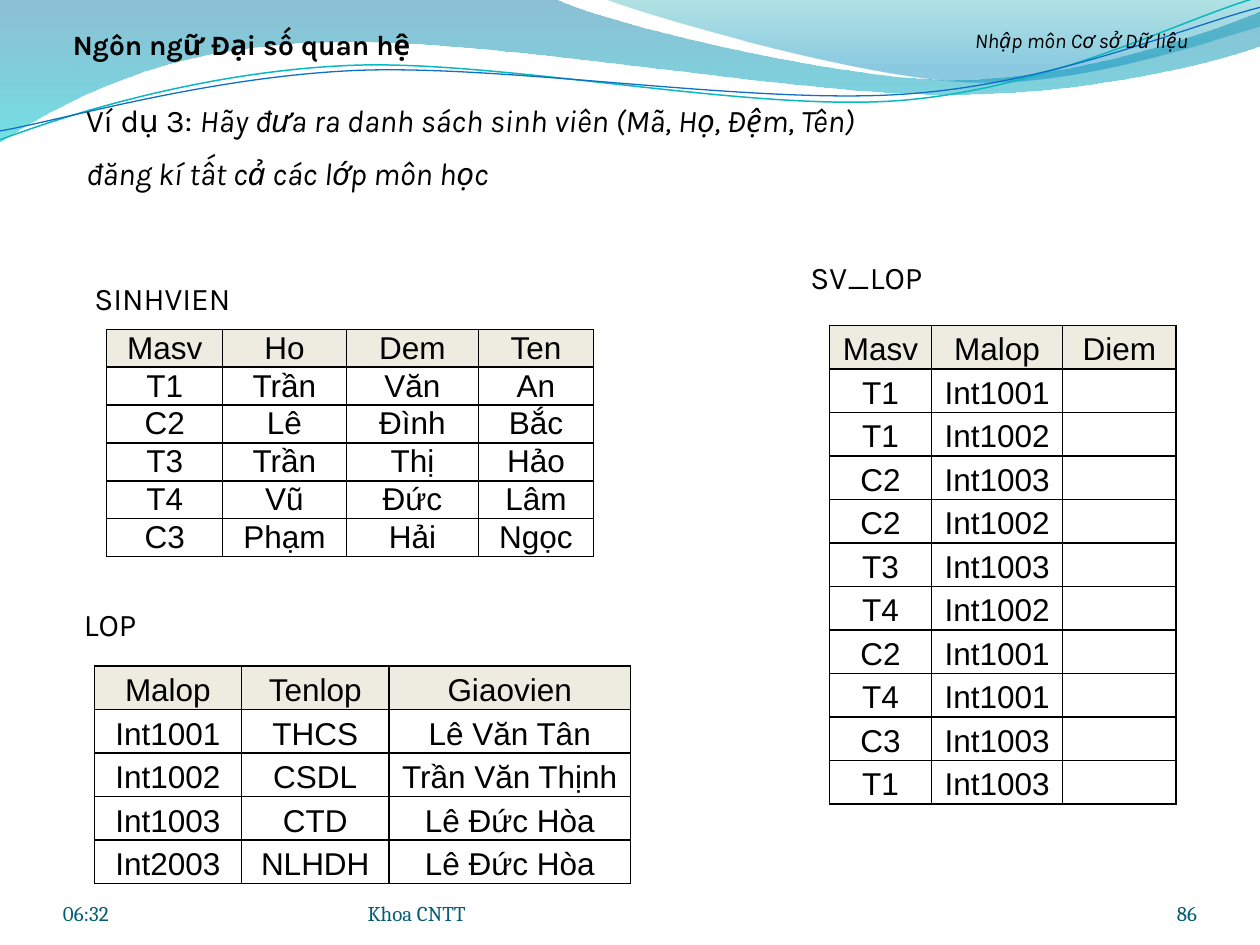
from lxml import etree
from pptx import Presentation
from pptx import util as u
from pptx.dml.color import RGBColor
from pptx.enum import text
from pptx.oxml import ns

BLACK = RGBColor(0x00, 0x00, 0x00)
FOOTER_BLUE = RGBColor(0x04, 0x5D, 0x75)
HEADER_FILL = RGBColor(0xEE, 0xEC, 0xE1)
DEEP_BLUE = RGBColor(0x00, 0x74, 0xA1)
CYAN = RGBColor(0x00, 0xC6, 0xCF)
TEAL = RGBColor(0x00, 0xA1, 0xA9)
SKY_BLUE = RGBColor(0x00, 0x8B, 0xBF)
LINE_TEAL = RGBColor(0x0A, 0xB8, 0xBF)
LINE_BLUE = RGBColor(0x0F, 0x6F, 0xC6)

LEFT, CENTER, RIGHT = text.PP_ALIGN.LEFT, text.PP_ALIGN.CENTER, text.PP_ALIGN.RIGHT

HEADING = "Ngôn ngữ Đại số quan hệ"
EXAMPLE = [
    [("Ví dụ 3: ", False), ("Hãy đưa ra danh sách sinh viên (Mã, Họ, Đệm, Tên)", True)],
    [("đăng kí tất cả các lớp môn học", True)],
]

WAVE_BANDS = [
    ([(0, -0.03), (11.18, -0.03),
      (12.09, 0.43, 16.87, 1.6, 19.25, 1.6), (21.67, 1.6, 24.33, 0.66, 25.4, 0.23),
      (25.43, 0.91),
      (24.97, 1.12, 22.1, 1.93, 18.95, 1.9), (15.8, 1.9, 9.7, 0.71, 6.53, 0.86),
      (3.28, 0.89, 1.17, 2.11, -0.03, 2.87)],
     [(0, DEEP_BLUE, 45), (1, CYAN, 55)]),
    ([(12.17, -0.03),
      (12.93, 0.28, 17.32, 1.57, 19.53, 1.65), (21.74, 1.75, 24.41, 0.81, 25.4, 0.53),
      (25.4, 0)],
     [(0, TEAL, 30), (0.8, SKY_BLUE, 45)]),
]
WAVE_LINES = [
    ([(0, 2.82), (1.22, 2.36, 4.01, 1.45, 7.04, 1.32),
      (10.03, 1.19, 15.06, 2.26, 18.11, 2.03), (21.16, 1.8, 23.83, 0.38, 25.35, -0.05)],
     LINE_TEAL, 0.85),
    ([(0, 2.64), (1.19, 2.44, 4.17, 1.55, 7.19, 1.42),
      (10.24, 1.3, 15.16, 2.11, 18.21, 1.9), (21.23, 1.7, 23.9, 0.53, 25.4, 0.15)],
     LINE_BLUE, 0.75),
]

LABELS = [
    ("Nhập môn Cơ sở Dữ liệu", (18.21, 0.43, 7.19, 0.97), 12, True),
    ("SINHVIEN", (1.47, 5.51, 3.61, 1.02), 18, False),
    ("SV_LOP", (15.66, 5.08, 3.61, 1.02), 18, False),
    ("LOP", (0.85, 12.07, 2.74, 1.02), 18, False),
]
FOOTERS = [
    ("06:32", (1.27, 17.65, 5.92, 1.02), LEFT),
    ("Khoa CNTT", (7.41, 17.65, 9.32, 1.02), LEFT),
    ("86", (22.02, 17.65, 2.11, 1.02), RIGHT),
]
TABLES = [
    {"at": (2.15, 6.64), "columns": (2.34, 2.49, 2.67, 2.31), "row": 0.69,
     "height": 4.57, "spacing": 1.0,
     "rows": [("Masv", "Ho", "Dem", "Ten"), ("T1", "Trần", "Văn", "An"),
              ("C2", "Lê", "Đình", "Bắc"), ("T3", "Trần", "Thị", "Hảo"),
              ("T4", "Vũ", "Đức", "Lâm"), ("C3", "Phạm", "Hải", "Ngọc")]},
    {"at": (16.72, 6.56), "columns": (2.06, 2.64, 2.29), "row": 0.46,
     "height": 9.63, "spacing": 1.15,
     "rows": [("Masv", "Malop", "Diem"), ("T1", "Int1001", ""), ("T1", "Int1002", ""),
              ("C2", "Int1003", ""), ("C2", "Int1002", ""), ("T3", "Int1003", ""),
              ("T4", "Int1002", ""), ("C2", "Int1001", ""), ("T4", "Int1001", ""),
              ("C3", "Int1003", ""), ("T1", "Int1003", "")]},
    {"at": (1.9, 13.43), "columns": (2.97, 2.97, 4.87), "row": 0.46,
     "height": 4.39, "spacing": 1.15,
     "rows": [("Malop", "Tenlop", "Giaovien"), ("Int1001", "THCS", "Lê Văn Tân"),
              ("Int1002", "CSDL", "Trần Văn Thịnh"), ("Int1003", "CTD", "Lê Đức Hòa"),
              ("Int2003", "NLHDH", "Lê Đức Hòa")]},
]


def style(para, font_name, size, color=BLACK, align=CENTER, bold=False, italic=False):
    para.alignment = align
    font = para.font
    font.name, font.size, font.bold, font.italic = font_name, u.Pt(size), bold, italic
    font.color.rgb = color


def place(shape, frame):
    shape.left, shape.top, shape.width, shape.height = map(u.Cm, frame)


def add_wave(page, segments, close):
    ends = [(u.Cm(segment[-2]), u.Cm(segment[-1])) for segment in segments]
    builder = page.shapes.build_freeform(*ends[0])
    builder.add_line_segments(ends[1:], close=close)
    wave = builder.convert_to_shape()
    wave.shadow.inherit = False
    for node, segment in zip(list(wave.element.iter(ns.qn("a:lnTo"))), segments[1:]):
        if len(segment) == 6:
            node.tag = ns.qn("a:cubicBezTo")
            for index, start in enumerate((0, 2)):
                x, y = map(u.Cm, segment[start:start + 2])
                point = etree.Element(ns.qn("a:pt"), x=str(x - wave.left), y=str(y - wave.top))
                node.insert(index, point)
    return wave


def add_band(page, segments, stops):
    band = add_wave(page, segments, True)
    band.line.fill.background()
    band.fill.gradient()
    band.fill.gradient_angle = 270
    for stop, (position, color, _) in zip(band.fill.gradient_stops, stops):
        stop.position = position
        stop.color.rgb = color
    for node, (_, _, opacity) in zip(band.element.iter(ns.qn("a:srgbClr")), stops):
        etree.SubElement(node, ns.qn("a:alpha"), val=str(opacity * 1000))


def add_line(page, segments, color, width):
    line = add_wave(page, segments, False)
    line.fill.background()
    line.line.color.rgb = color
    line.line.width = u.Pt(width)


def add_box(page, frame, words):
    box = page.shapes.add_textbox(*map(u.Cm, frame))
    box.text_frame.word_wrap = True
    box.text_frame.text = words
    return box.text_frame


def add_borders(cell):
    properties = cell._tc.get_or_add_tcPr()
    for side in ("lnL", "lnR", "lnT", "lnB"):
        border = etree.SubElement(properties, ns.qn(f"a:{side}"), w=str(u.Pt(1)))
        fill = etree.SubElement(border, ns.qn("a:solidFill"))
        etree.SubElement(fill, ns.qn("a:srgbClr"), val=str(BLACK))


def add_grid(page, data):
    rows, columns = data["rows"], data["columns"]
    size = (sum(columns), data["height"])
    holder = page.shapes.add_table(len(rows), len(columns), *map(u.Cm, data["at"] + size))
    table = holder.table
    table.first_row = table.horz_banding = False
    for column, width in zip(table.columns, columns):
        column.width = u.Cm(width)
    for index, (row, words) in enumerate(zip(table.rows, rows)):
        row.height = u.Cm(data["row"])
        for cell, word in zip(row.cells, words):
            cell.text = word
            cell.vertical_anchor = text.MSO_ANCHOR.MIDDLE
            cell.margin_left = cell.margin_right = u.Cm(0.18)
            cell.margin_top = cell.margin_bottom = 0
            para = cell.text_frame.paragraphs[0]
            style(para, "Arial", 18)
            para.line_spacing = data["spacing"]
            add_borders(cell)
            if index == 0:
                cell.fill.solid()
                cell.fill.fore_color.rgb = HEADER_FILL
            else:
                cell.fill.background()
    holder.height = u.Cm(data["height"])


def fill_title(title):
    place(title, (0.64, 0.43, 8.46, 0.94))
    frame = title.text_frame
    frame.text = HEADING
    frame.auto_size = text.MSO_AUTO_SIZE.NONE
    frame.vertical_anchor = text.MSO_ANCHOR.TOP
    style(frame.paragraphs[0], "Karla", 16, bold=True)


def fill_example(body):
    place(body, (1.48, 1.9, 17.96, 3.33))
    frame = body.text_frame
    frame.auto_size = text.MSO_AUTO_SIZE.NONE
    for index, spans in enumerate(EXAMPLE):
        para = frame.add_paragraph() if index else frame.paragraphs[0]
        for words, italic in spans:
            span = para.add_run()
            span.text = words
            span.font.italic = italic
        style(para, "Karla", 18, align=LEFT)
        para.space_before = u.Pt(9 if index else 0)
        properties = para._p.get_or_add_pPr()
        properties.set("marL", "0")
        properties.set("indent", "0")
        properties.insert_element_before(
            etree.Element(ns.qn("a:buNone")), "a:tabLst", "a:defRPr", "a:extLst")


def main():
    deck = Presentation()
    deck.slide_width, deck.slide_height = u.Cm(25.4), u.Cm(19.05)
    page = deck.slides.add_slide(deck.slide_layouts[1])
    title, body = page.shapes.title, page.placeholders[1]
    for band in WAVE_BANDS:
        add_band(page, *band)
    for line in WAVE_LINES:
        add_line(page, *line)
    fill_title(title)
    fill_example(body)
    for holder in (title, body):
        page.shapes.element.append(holder.element)
    for words, frame, align in FOOTERS:
        box = add_box(page, frame, words)
        box.margin_left = box.margin_right = box.margin_top = box.margin_bottom = 0
        box.vertical_anchor = text.MSO_ANCHOR.BOTTOM
        style(box.paragraphs[0], "Cambria", 12, FOOTER_BLUE, align)
    for words, frame, size, italic in LABELS:
        style(add_box(page, frame, words).paragraphs[0], "Karla", size, italic=italic)
    for data in TABLES:
        add_grid(page, data)
    deck.save("out.pptx")


if __name__ == "__main__":
    main()
